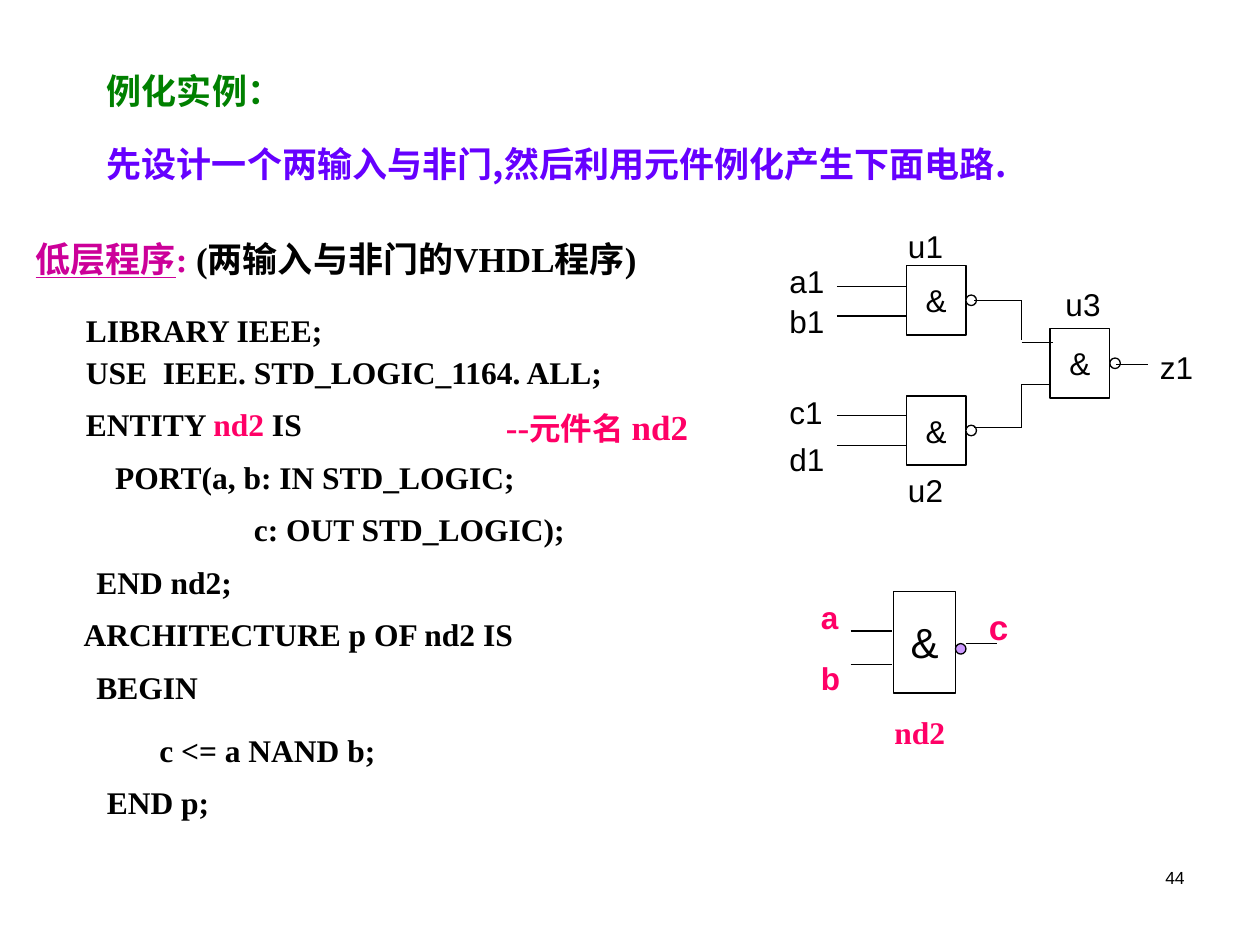
"""Build the slide on NAND gate component instantiation in VHDL."""
from lxml.etree import SubElement
from pptx import Presentation
from pptx.dml.color import RGBColor
from pptx.enum.shapes import MSO_CONNECTOR as Connector, MSO_SHAPE as Shape
from pptx.enum.text import MSO_ANCHOR as Anchor, PP_ALIGN as Align
from pptx.oxml.ns import qn
from pptx.util import Inches, Pt

COLORS = {"black": "000000", "white": "FFFFFF", "green": "008000", "violet": "6600FF",
          "magenta": "CC0099", "pink": "FF0066", "lilac": "CC99FF"}
SERIF, SANS, CHINESE = "Times New Roman", "Arial", "Noto Sans CJK SC"

presentation = Presentation()
presentation.slide_width, presentation.slide_height = Inches(10), Inches(7.5)
slide = presentation.slides.add_slide(presentation.slide_layouts[6])
CELL = presentation.slide_width / 120


def grid(*cells):
    return [round(cell * CELL) for cell in cells]


def write(shape, pieces, size, font, bold=False, align=Align.LEFT, wrap=True):
    frame = shape.text_frame
    frame.word_wrap = wrap
    paragraph = frame.paragraphs[0]
    paragraph.alignment = align
    for text, color, *own_size in pieces:
        run = paragraph.add_run()
        run.text = text
        run.font.size = Pt(own_size[0] if own_size else size)
        run.font.name = font
        run.font.bold = bold
        run.font.color.rgb = RGBColor.from_string(COLORS[color])
        SubElement(run._r.get_or_add_rPr(), qn("a:ea"), typeface=CHINESE)
    return paragraph


headings = [
    (9, 6, 56, 20, SERIF, [("例化实例：", "green")]),
    (9, 13, 95, 20, CHINESE, [("先设计一个两输入与非门,然后利用元件例化产生下面电路.", "violet")]),
    (47, 38, 22, 20, SERIF, [("--", "pink"), ("元件名", "pink", 18), (" nd2", "pink")]),
]
code = [
    (7, 29, [("LIBRARY IEEE;", "black")]),
    (7, 33, [("USE  IEEE. STD_LOGIC_1164. ALL;", "black")]),
    (7, 38, [("ENTITY ", "black"), ("nd2", "pink"), (" IS", "black")]),
    (9.8, 43, [("PORT(a, b: IN STD_LOGIC;", "black")]),
    (23, 48, [("c: OUT STD_LOGIC);", "black")]),
    (8, 53, [("END nd2;", "black")]),
    (6.8, 58, [("ARCHITECTURE p OF nd2 IS", "black")]),
    (8, 63, [("BEGIN", "black")]),
    (14, 69, [("c <= a NAND b;", "black")]),
    (9, 74, [("END p;", "black")]),
]
for left, top, width, size, font, pieces in headings:
    write(slide.shapes.add_textbox(*grid(left, top, width, 5.3)), pieces, size, font, True)
for left, top, pieces in code:
    write(slide.shapes.add_textbox(*grid(left, top, 54, 4.8)), pieces, 18, SERIF, True)

subtitle = write(slide.shapes.add_textbox(*grid(2.2, 22, 68, 5.3)),
                 [("低层程序", "magenta"), (":", "magenta"),
                  (" (两输入与非门的VHDL程序)", "black")], 20, SERIF, True)
subtitle.runs[0].font.underline = True

gates = [
    (86.3, 25.3, 5.7, 6.6, 2.8, 18, "white"),
    (86.3, 37.7, 5.7, 6.6, 2.8, 18, "white"),
    (100, 31.3, 5.7, 6.6, 2.8, 18, "white"),
    (85.1, 56.3, 5.9, 9.7, 5, 24, "lilac"),
]
for left, top, width, height, drop, size, bubble_color in gates:
    body = slide.shapes.add_shape(Shape.RECTANGLE, *grid(left, top, width, height))
    bubble = slide.shapes.add_shape(Shape.OVAL, *grid(left + width, top + drop, 1, 1))
    for shape, color in ((body, "white"), (bubble, bubble_color)):
        shape.shadow.inherit = False
        shape.fill.solid()
        shape.fill.fore_color.rgb = RGBColor.from_string(COLORS[color])
        shape.line.color.rgb = RGBColor.from_string(COLORS["black"])
        shape.line.width = Pt(0.75)
    body.text_frame.vertical_anchor = Anchor.MIDDLE
    write(body, [("&", "black")], size, SANS, align=Align.CENTER, wrap=False)

wires = [(79.7, row, 86.3, row) for row in (27.3, 30.1, 39.6, 42.4)]
wires += [(81, row, 85, row) for row in (60.1, 63.3)]
wires += [
    (92.8, 28.6, 97.3, 28.6), (97.3, 28.6, 97.3, 32.4), (97.3, 32.6, 100.3, 32.6),
    (92.8, 40.7, 97.3, 40.7), (97.3, 40.7, 97.3, 36.6), (97.3, 36.6, 100, 36.6),
    (106.3, 34.7, 109.3, 34.7), (92, 61.3, 95, 61.3),
]
for ends in wires:
    wire = slide.shapes.add_connector(Connector.STRAIGHT, *grid(*ends))
    wire.line.color.rgb = RGBColor.from_string(COLORS["black"])
    wire.line.width = Pt(0.75)
    SubElement(wire._element.spPr, qn("a:effectLst"))

labels = [("a1", 74, 24.4), ("b1", 74, 28.2), ("c1", 74, 36.8), ("d1", 74, 41.3),
          ("u1", 85.3, 21), ("u2", 85.3, 44.3), ("u3", 100.3, 26.6), ("z1", 109.3, 32.6)]
for text, left, top in labels:
    write(slide.shapes.add_textbox(*grid(left, top, 7, 4.8)), [(text, "black")], 18, SANS)

pins = [("a", 77, 56.4, 4, 18, SANS), ("b", 77, 62.2, 4, 18, SANS),
        ("c", 93, 57.1, 5, 20, SANS), ("nd2", 84, 67.3, 9.2, 18, SERIF)]
for text, left, top, width, size, font in pins:
    write(slide.shapes.add_textbox(*grid(left, top, width, 4.8)), [(text, "pink")], size, font, True)

write(slide.shapes.add_textbox(*grid(86, 82, 28, 6)), [("44", "black")], 10, SANS, align=Align.RIGHT)

presentation.save("out.pptx")
